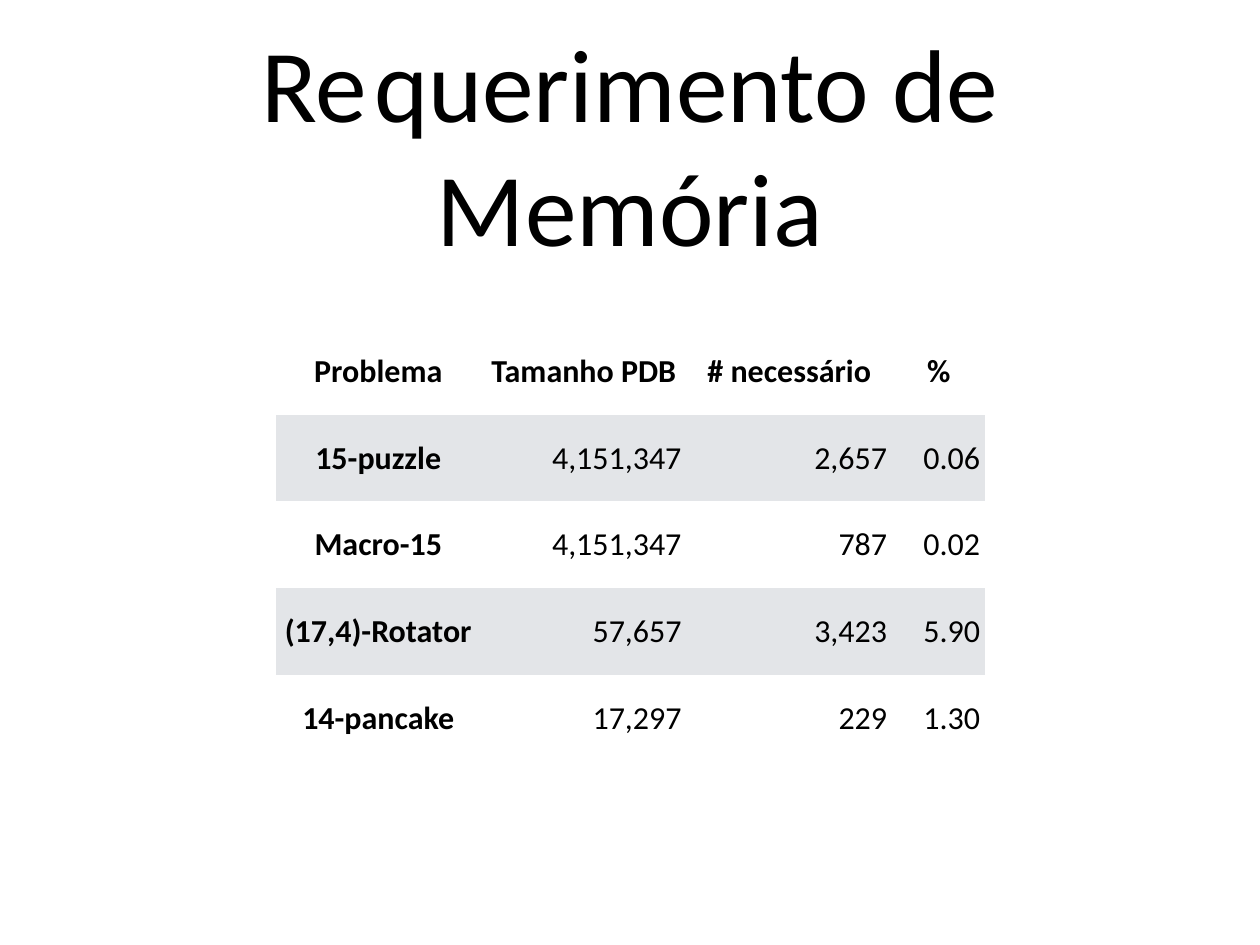
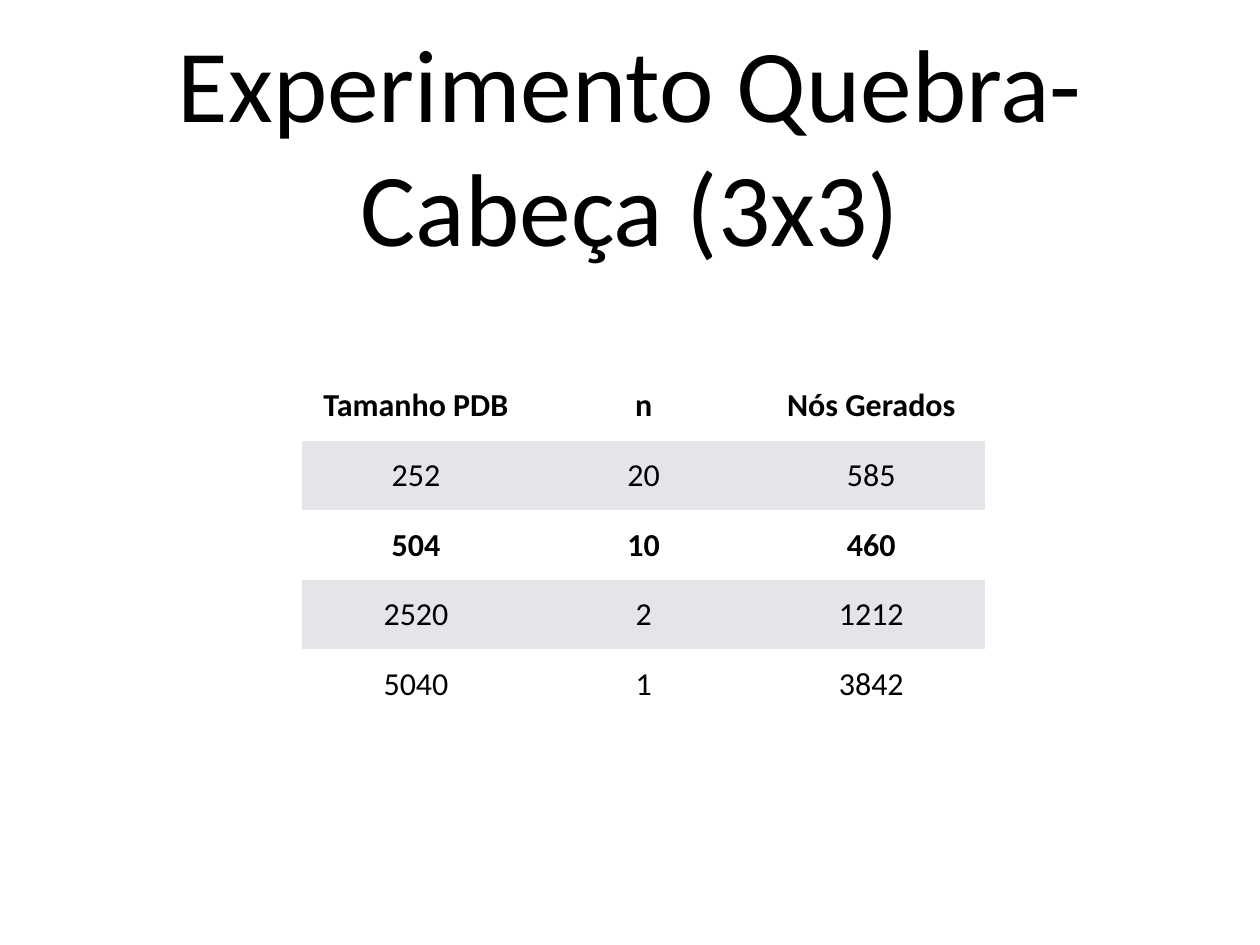
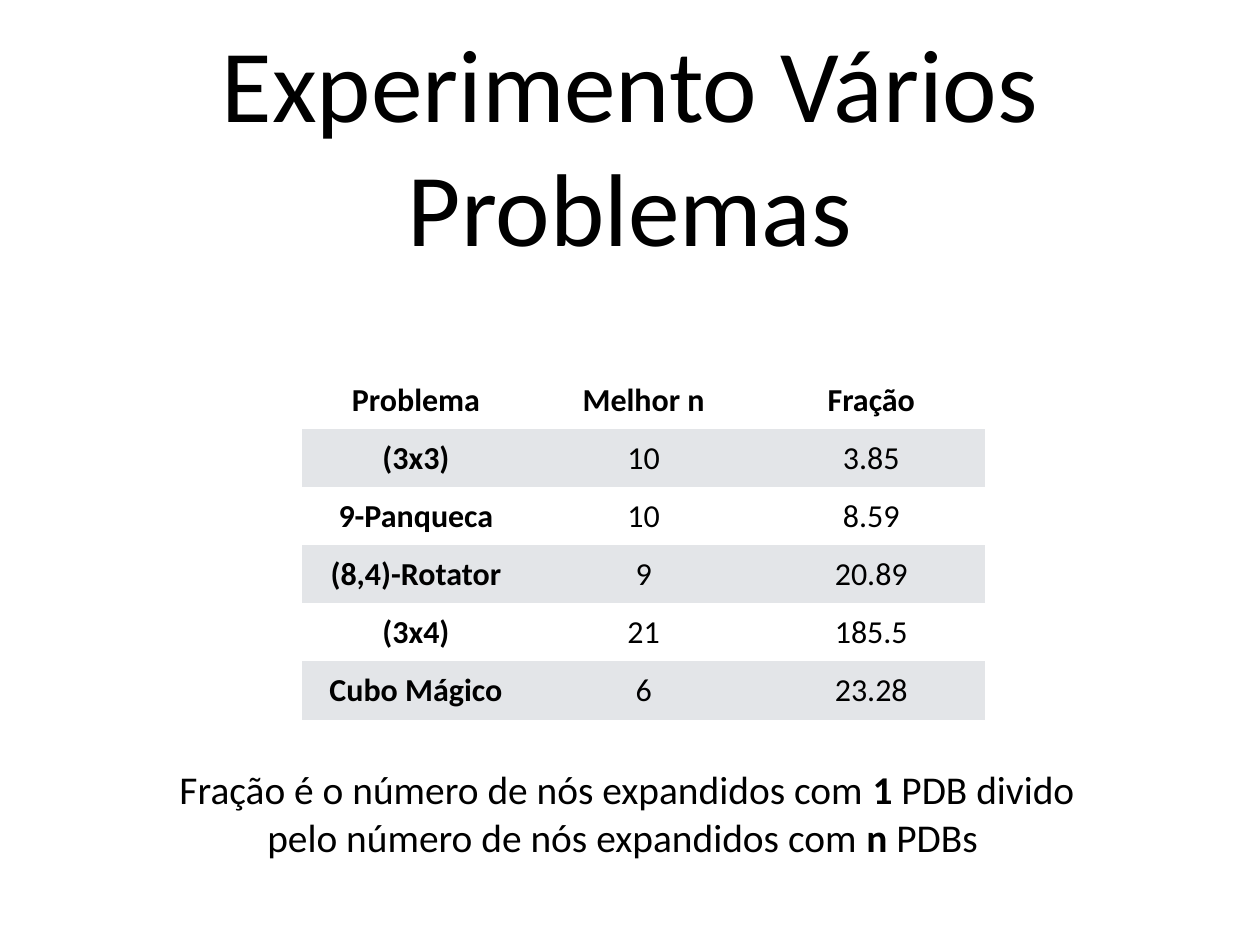
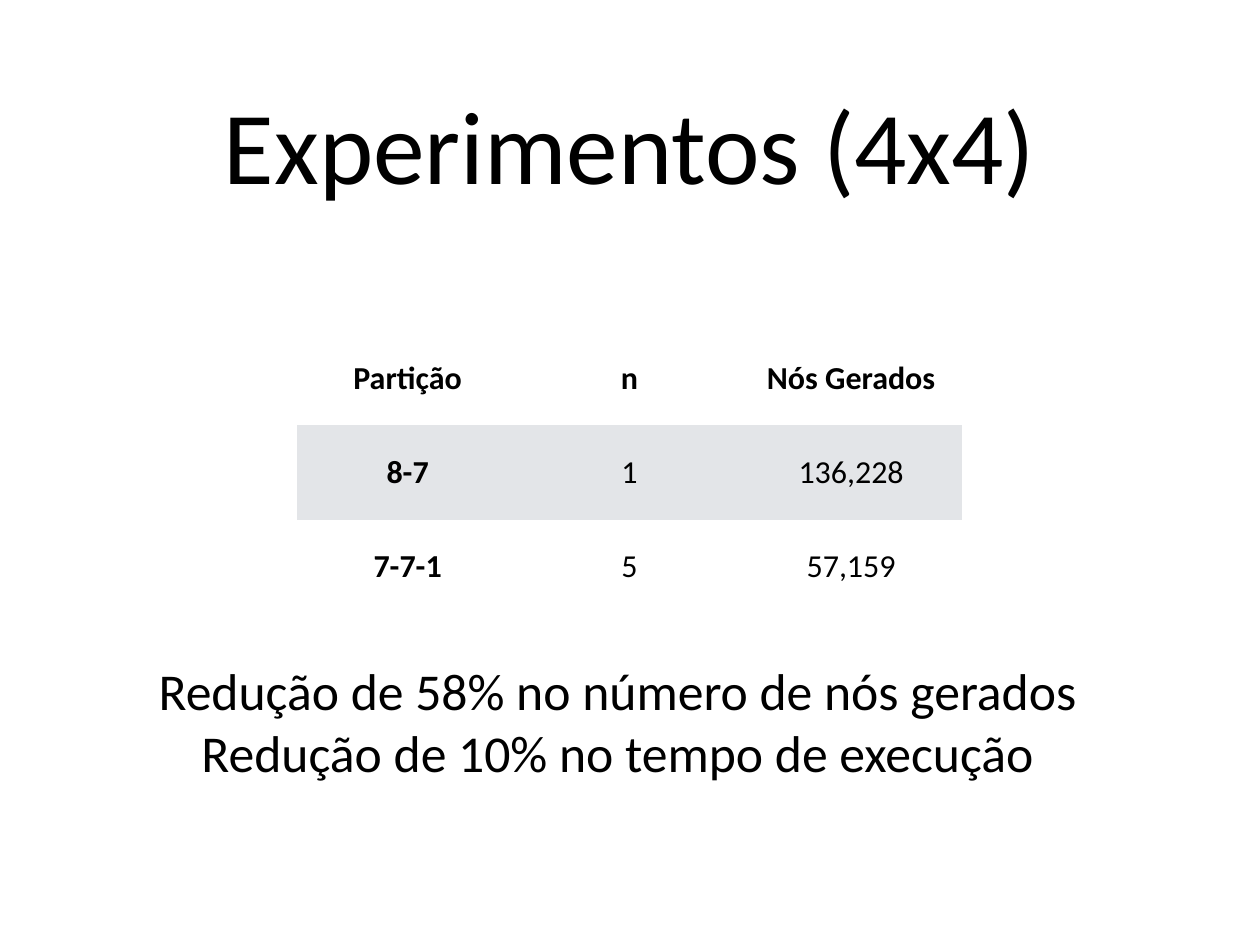
"""Build four slides of result tables on pattern database experiments."""

from dataclasses import dataclass
from typing import Optional

from lxml.etree import SubElement
from pptx import Presentation
from pptx.dml.color import RGBColor
from pptx.enum.text import MSO_ANCHOR, MSO_AUTO_SIZE, PP_ALIGN
from pptx.oxml.ns import qn
from pptx.presentation import Presentation as Deck
from pptx.slide import Slide
from pptx.text.text import TextFrame, _Paragraph
from pptx.util import Emu, Inches, Pt

GRID_COLUMNS, GRID_ROWS = 128, 96
UNIT = Inches(1) / 9
INSET = Emu(int(UNIT / 2))
TITLE_TAB = Inches(1.27)

FONT = "Calibri"
TITLE_SIZE, CELL_SIZE = 84, 26
BLACK = RGBColor(0x00, 0x00, 0x00)
WHITE = RGBColor(0xFF, 0xFF, 0xFF)
BAND = RGBColor(0xE3, 0xE5, 0xE8)
PLAIN_TABLE_STYLE = "{2D5ABB26-0587-4C30-8999-92F81FD0307C}"


@dataclass(frozen=True)
class Box:
    """A rectangle in grid units."""

    left: float
    top: float
    width: float
    height: float

    def emu(self) -> tuple[Emu, ...]:
        """Return left, top, width and height as lengths."""
        return tuple(grid(n) for n in (self.left, self.top, self.width, self.height))


@dataclass(frozen=True)
class Results:
    """A results table with its header in the first row."""

    left: float
    top: float
    columns: tuple[float, ...]
    row_height: float
    rows: tuple[tuple[str, ...], ...]
    named_rows: bool = True
    best_row: Optional[int] = None
    number_align: PP_ALIGN = PP_ALIGN.CENTER


@dataclass(frozen=True)
class Remark:
    """Lines of (text, bold) runs below a table."""

    box: Box
    size: int
    lines: tuple[tuple[tuple[str, bool], ...], ...]


@dataclass(frozen=True)
class Page:
    """The content of one slide."""

    title: str
    results: Results
    remark: Optional[Remark] = None


TITLE_BOX = Box(12.5, 2.5, 103, 24)

PAGES = (
    Page(
        "Re\tquerimento de Memória",
        Results(
            28, 33.3, (20.88, 20.88, 20.88, 9.45), 8.82,
            (
                ("Problema", "Tamanho PDB", "# necessário", "%"),
                ("15-puzzle", "4,151,347", "2,657", "0.06"),
                ("Macro-15", "4,151,347", "787", "0.02"),
                ("(17,4)-Rotator", "57,657", "3,423", "5.90"),
                ("14-pancake", "17,297", "229", "1.30"),
            ),
            number_align=PP_ALIGN.RIGHT,
        ),
    ),
    Page(
        "Experimento Quebra-Cabeça (3x3)",
        Results(
            30.7, 37.7, (23.13,) * 3, 7.07,
            (
                ("Tamanho PDB", "n", "Nós Gerados"),
                ("252", "20", "585"),
                ("504", "10", "460"),
                ("2520", "2", "1212"),
                ("5040", "1", "3842"),
            ),
            named_rows=False,
            best_row=2,
        ),
    ),
    Page(
        "Experimento Vários Problemas",
        Results(
            30.7, 37.7, (23.13,) * 3, 5.9,
            (
                ("Problema", "Melhor n", "Fração"),
                ("(3x3)", "10", "3.85"),
                ("9-Panqueca", "10", "8.59"),
                ("(8,4)-Rotator", "9", "20.89"),
                ("(3x4)", "21", "185.5"),
                ("Cubo Mágico", "6", "23.28"),
            ),
        ),
        Remark(
            Box(17.7, 77.3, 92, 10.5), 32,
            (
                (
                    ("Fração é o número de nós expandidos com ", False),
                    ("1", True),
                    (" PDB divido", False),
                ),
                (
                    ("pelo número de nós expandidos com ", False),
                    ("n", True),
                    (" PDBs ", False),
                ),
            ),
        ),
    ),
    Page(
        "Experimentos (4x4)",
        Results(
            30.15, 33.6, (22.53,) * 3, 9.6,
            (
                ("Partição", "n", "Nós Gerados"),
                ("8-7", "1", "136,228"),
                ("7-7-1", "5", "57,159"),
            ),
        ),
        Remark(
            Box(15.55, 66.6, 94.4, 13.2), 42,
            (
                (("Redução de 58% no número de nós gerados", False),),
                (("Redução de 10% no tempo de execução", False),),
            ),
        ),
    ),
)


def grid(units: float) -> Emu:
    """Turn grid units into a length."""
    return Emu(round(units * UNIT))


def set_insets(frame: TextFrame) -> None:
    """Centre the text vertically within equal insets."""
    frame.vertical_anchor = MSO_ANCHOR.MIDDLE
    frame.margin_left = frame.margin_right = INSET
    frame.margin_top = frame.margin_bottom = INSET


def style(
    paragraph: _Paragraph, size: int, align: PP_ALIGN = PP_ALIGN.CENTER, bold: bool = False
) -> None:
    """Give a paragraph the shared font and colour."""
    paragraph.alignment = align
    font = paragraph.font
    font.name, font.size, font.bold = FONT, Pt(size), bold
    font.color.rgb = BLACK


def add_title(slide: Slide, text: str) -> None:
    """Place and fill the title placeholder."""
    title = slide.shapes.title
    title.left, title.top, title.width, title.height = TITLE_BOX.emu()
    frame = title.text_frame
    frame.text = text
    frame.word_wrap = True
    frame.auto_size = MSO_AUTO_SIZE.NONE
    set_insets(frame)
    heading = frame.paragraphs[0]
    if "\t" in text:
        stops = SubElement(heading._p.get_or_add_pPr(), qn("a:tabLst"))
        SubElement(stops, qn("a:tab"), pos=str(TITLE_TAB), algn="l")
    style(heading, TITLE_SIZE)


def add_results(slide: Slide, results: Results) -> None:
    """Draw a results table with every second row shaded."""
    box = Box(
        results.left,
        results.top,
        sum(results.columns),
        results.row_height * len(results.rows),
    )
    holder = slide.shapes.add_table(len(results.rows), len(results.columns), *box.emu())
    for style_id in holder.element.iter(qn("a:tableStyleId")):
        style_id.text = PLAIN_TABLE_STYLE
    table = holder.table
    table.first_row = table.horz_banding = False
    for column, width in zip(table.columns, results.columns):
        column.width = grid(width)
    for r, values in enumerate(results.rows):
        table.rows[r].height = grid(results.row_height)
        for c, value in enumerate(values):
            cell = table.cell(r, c)
            cell.fill.solid()
            cell.fill.fore_color.rgb = BAND if r % 2 else WHITE
            cell.text = value
            cell.vertical_anchor = MSO_ANCHOR.MIDDLE
            cell.margin_left = cell.margin_right = INSET
            cell.margin_top = cell.margin_bottom = INSET
            is_label = r == 0 or (c == 0 and results.named_rows)
            style(
                cell.text_frame.paragraphs[0],
                CELL_SIZE,
                PP_ALIGN.CENTER if is_label else results.number_align,
                is_label or r == results.best_row,
            )


def add_remark(slide: Slide, remark: Remark) -> None:
    """Write the centred remark below a table."""
    frame = slide.shapes.add_textbox(*remark.box.emu()).text_frame
    frame.word_wrap = False
    frame.auto_size = MSO_AUTO_SIZE.SHAPE_TO_FIT_TEXT
    set_insets(frame)
    for number, line in enumerate(remark.lines):
        paragraph = frame.add_paragraph() if number else frame.paragraphs[0]
        style(paragraph, remark.size)
        for text, bold in line:
            run = paragraph.add_run()
            run.text = text
            if bold:
                run.font.bold = True


def add_page(deck: Deck, page: Page) -> None:
    """Add one slide with its title, table and remark."""
    slide = deck.slides.add_slide(deck.slide_layouts.get_by_name("Title Only"))
    add_title(slide, page.title)
    add_results(slide, page.results)
    if page.remark:
        add_remark(slide, page.remark)


def main() -> None:
    """Build and save the presentation."""
    deck = Presentation()
    deck.slide_width, deck.slide_height = grid(GRID_COLUMNS), grid(GRID_ROWS)
    for page in PAGES:
        add_page(deck, page)
    deck.save("out.pptx")


if __name__ == "__main__":
    main()
